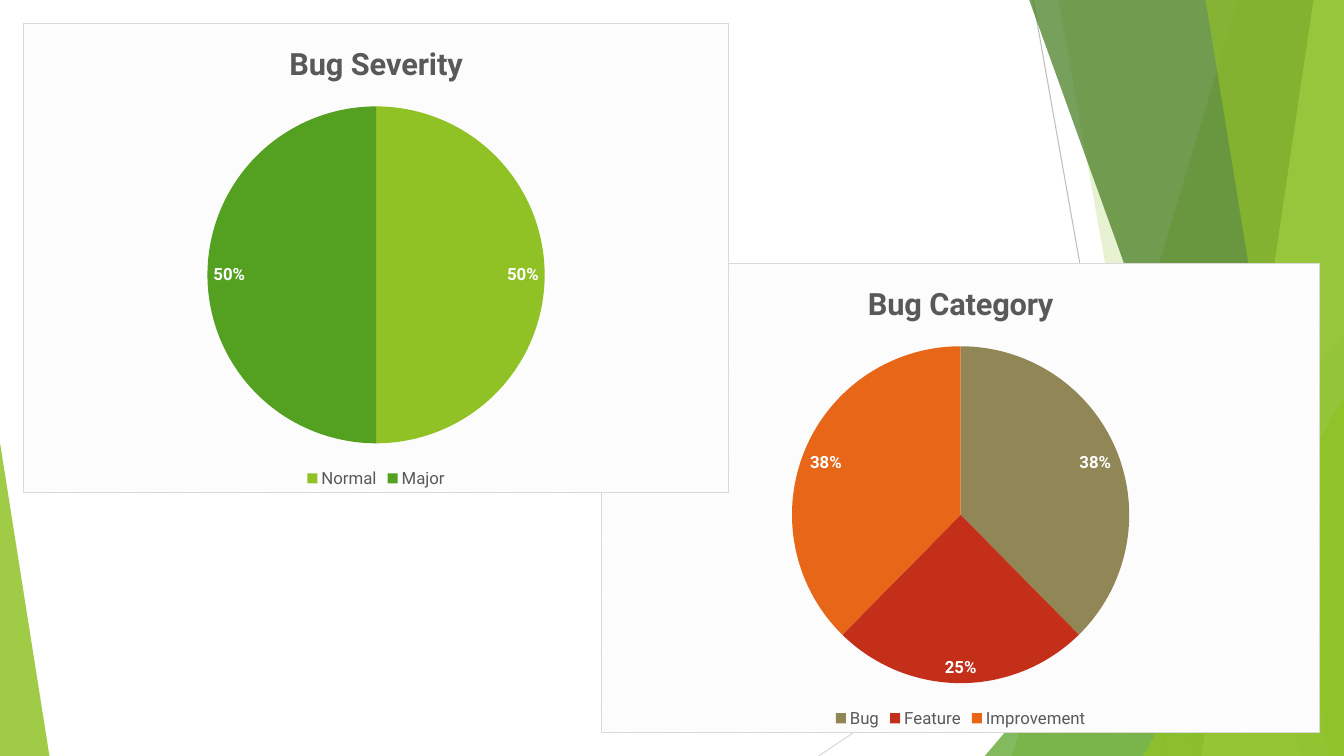
import dataclasses

import lxml.etree
import pptx
import pptx.chart.data
import pptx.dml.color
import pptx.enum.chart
import pptx.enum.shapes
import pptx.oxml
import pptx.oxml.ns
import pptx.util


@dataclasses.dataclass(frozen=True)
class Theme:
    font: str = "Roboto"
    title_size: int = 22
    text_size: int = 12
    base_size: int = 10
    hairline: float = 0.75
    black: str = "000000"
    white: str = "FFFFFF"
    text: str = "595959"
    pattern: str = "F2F2F2"
    border: str = "D9D9D9"
    rule: str = "BFBFBF"
    lime: str = "90C226"
    pale_lime: str = "C0E474"
    green: str = "54A021"
    dark_green: str = "3F7819"
    olive: str = "918655"
    red: str = "C42F1A"
    orange: str = "E76618"


THEME = Theme()
WIDTH, HEIGHT = pptx.util.Inches(13.33), pptx.util.Inches(7.5)


def px(share):
    return round(WIDTH * share / 100)


def py(share):
    return round(HEIGHT * share / 100)


def box(left, top, width, height):
    return px(left), py(top), px(width), py(height)


def rgb(color):
    return pptx.dml.color.RGBColor.from_string(color)


def set_all(obj, **values):
    for name, value in values.items():
        setattr(obj, name, value)


def set_font(font, size, color, bold=False):
    set_all(font, name=THEME.font, size=pptx.util.Pt(size), bold=bold)
    font.color.rgb = rgb(color)


def paint(sp, color, opacity):
    sp.shadow.inherit = False
    sp.line.fill.background()
    sp.fill.solid()
    sp.fill.fore_color.rgb = rgb(color)
    clr = sp.fill._xPr.find(".//" + pptx.oxml.ns.qn("a:srgbClr"))
    alpha = lxml.etree.SubElement(clr, pptx.oxml.ns.qn("a:alpha"))
    alpha.set("val", str(opacity * 1000))


def add_rule(s, start, end, color):
    line = s.shapes.add_connector(
        pptx.enum.shapes.MSO_CONNECTOR.STRAIGHT,
        px(start[0]), py(start[1]), px(end[0]), py(end[1]))
    line.line.width = pptx.util.Pt(THEME.hairline)
    line.line.color.rgb = rgb(color)
    lxml.etree.SubElement(line._element.spPr, pptx.oxml.ns.qn("a:effectLst"))


def add_band(s, top_left, bottom_left, color, opacity):
    builder = s.shapes.build_freeform(px(top_left), 0)
    builder.add_line_segments(
        [(px(100), 0), (px(100), py(100)), (px(bottom_left), py(100))])
    paint(builder.convert_to_shape(), color, opacity)


def add_wedge(s, left, top, width, apex, color, opacity):
    sp = s.shapes.add_shape(pptx.enum.shapes.MSO_SHAPE.ISOSCELES_TRIANGLE,
                            *box(left, top, width, 100 - top))
    sp.adjustments[0] = apex
    paint(sp, color, opacity)


def hatch(chart):
    sp_pr = pptx.oxml.parse_xml(
        f'<c:spPr {pptx.oxml.ns.nsdecls("c", "a")}>'
        '<a:pattFill prst="dkDnDiag">'
        f'<a:fgClr><a:srgbClr val="{THEME.pattern}"/></a:fgClr>'
        f'<a:bgClr><a:srgbClr val="{THEME.white}"/></a:bgClr></a:pattFill>'
        f'<a:ln w="{pptx.util.Pt(THEME.hairline)}"><a:solidFill>'
        f'<a:srgbClr val="{THEME.border}"/></a:solidFill></a:ln></c:spPr>')
    chart._chartSpace.find(pptx.oxml.ns.qn("c:chart")).addnext(sp_pr)


def add_pie(s, area, title, slices):
    data = pptx.chart.data.CategoryChartData()
    data.categories = [name for name, _, _ in slices]
    data.add_series(title, [value for _, value, _ in slices])
    chart = s.shapes.add_chart(
        pptx.enum.chart.XL_CHART_TYPE.PIE, *box(*area), data).chart
    set_font(chart.font, THEME.base_size, THEME.black)
    hatch(chart)

    set_all(chart, has_title=True, has_legend=True)
    tf = chart.chart_title.text_frame
    tf.text = title
    set_font(tf.paragraphs[0].runs[0].font, THEME.title_size, THEME.text, True)
    set_all(chart.legend, include_in_layout=False,
            position=pptx.enum.chart.XL_LEGEND_POSITION.BOTTOM)
    set_font(chart.legend.font, THEME.text_size, THEME.text)

    plot = chart.plots[0]
    set_all(plot, vary_by_categories=True, has_data_labels=True)
    labels = plot.data_labels
    set_all(labels, show_percentage=True, show_value=False,
            number_format="0%", number_format_is_linked=False,
            position=pptx.enum.chart.XL_LABEL_POSITION.INSIDE_END)
    set_font(labels.font, THEME.text_size, THEME.white, True)
    for i, (_, _, color) in enumerate(slices):
        fill = plot.series[0].points[i].format.fill
        fill.solid()
        fill.fore_color.rgb = rgb(color)


def add_backdrop(s):
    add_rule(s, (76.87, 0), (86.85, 100), THEME.rule)
    add_rule(s, (100, 53.73), (60.9, 100), THEME.border)
    add_band(s, 92.1, 75.3, THEME.lime, 30)
    add_band(s, 78.75, 88.73, THEME.lime, 20)
    add_wedge(s, 73.27, 44.4, 26.73, 1, THEME.green, 72)
    add_band(s, 76.58, 96.83, THEME.dark_green, 70)
    add_band(s, 97.73, 89.4, THEME.pale_lime, 70)
    add_band(s, 89.7, 98.85, THEME.lime, 65)
    add_wedge(s, 85.05, 52.4, 14.95, 1, THEME.lime, 80)
    add_wedge(s, 0, 58.53, 3.68, 0, THEME.lime, 85)


def main():
    prs = pptx.Presentation()
    set_all(prs, slide_width=WIDTH, slide_height=HEIGHT)
    s = prs.slides.add_slide(prs.slide_layouts[6])
    add_backdrop(s)
    add_pie(s, (44.7, 34.8, 53.55, 62.13), "Bug Category",
            [("Bug", 38, THEME.olive), ("Feature", 25, THEME.red),
             ("Improvement", 38, THEME.orange)])
    add_pie(s, (1.73, 3.07, 52.5, 62.13), "Bug Severity",
            [("Normal", 50, THEME.lime), ("Major", 50, THEME.green)])
    prs.save("out.pptx")


if __name__ == "__main__":
    main()
